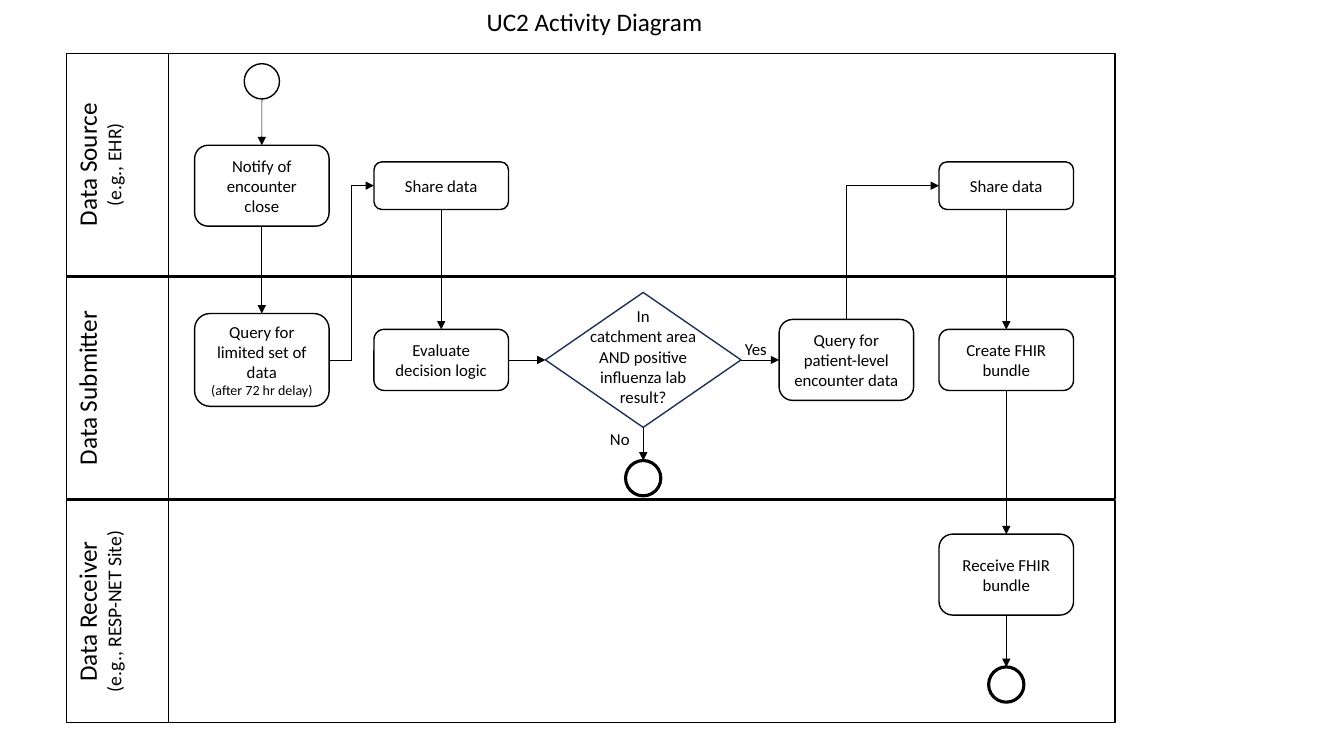
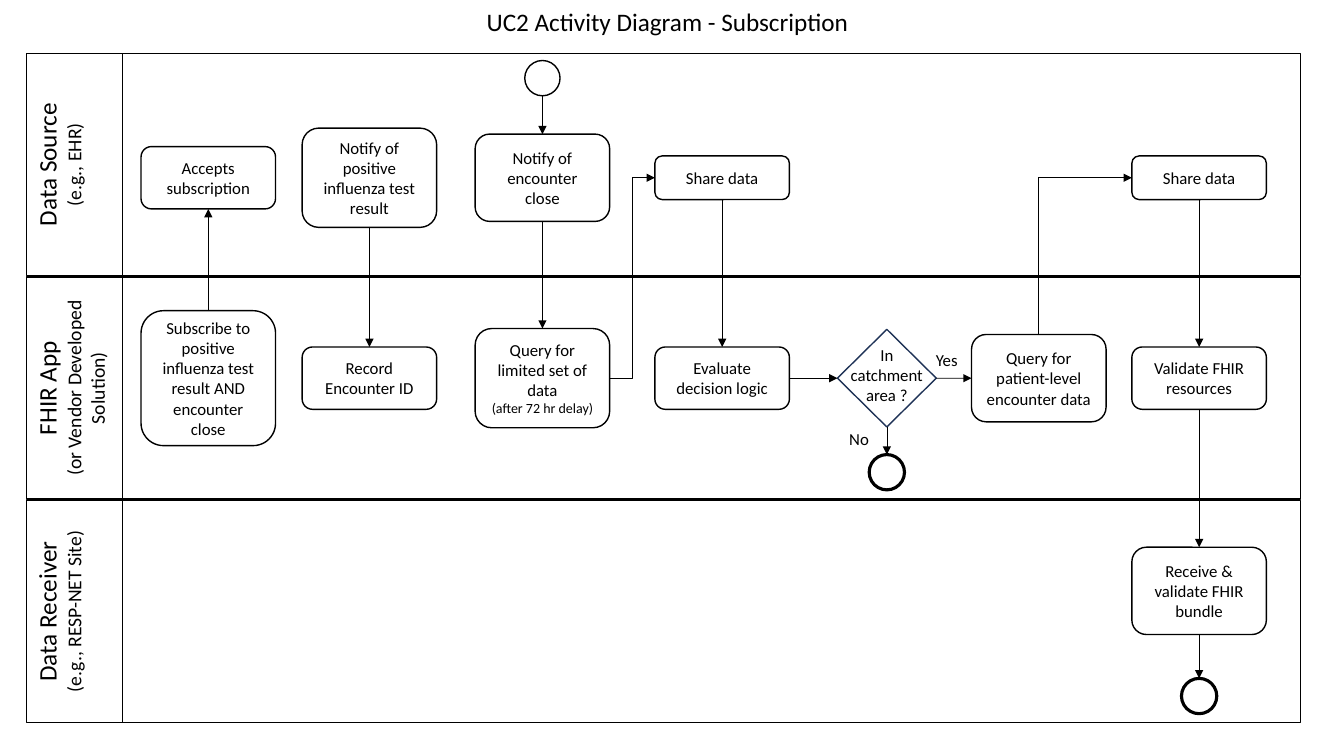
from lxml.etree import SubElement
from pptx import Presentation
from pptx.dml.color import RGBColor
from pptx.enum.shapes import MSO_CONNECTOR as LINE, MSO_SHAPE as SHAPE
from pptx.enum.text import MSO_ANCHOR as ANCHOR, PP_ALIGN as ALIGN
from pptx.oxml.ns import qn
from pptx.util import Cm, Pt

COLORS = {"ink": "000000", "paper": "FFFFFF", "decision": "1E3256"}
FONT = "Calibri"

# All lengths are in centimetres.
LANE_TOP, LANE_HEIGHT, LANE_PITCH = 1.35, 5.6, 5.63
LABEL_WIDTH, LABEL_LENGTH = 1.88, 5
BOX_WIDTH, CIRCLE = 3.39, 0.89
TOP, LEFT, BOTTOM, RIGHT = range(4)  # connection sites

# Source step, its site, target step, its site
SHARED_FLOWS = [
    ("notify", BOTTOM, "query limited", TOP),
    ("query limited", RIGHT, "share limited", LEFT),
    ("share limited", BOTTOM, "evaluate", TOP),
    ("evaluate", RIGHT, "decision", LEFT),
    ("decision", RIGHT, "query patient", LEFT),
    ("decision", BOTTOM, "stop", TOP),
    ("share patient", BOTTOM, "bundle", TOP),
    ("bundle", BOTTOM, "receive", TOP),
    ("receive", BOTTOM, "end", TOP),
]
QUERY_LIMITED = [("Query for limited set of data", 12), ("(after 72 hr delay)", 10)]
QUERY_PATIENT = "Query for patient-level encounter data"
SOURCE_LABEL = [("Data Source", 18), ("(e.g., EHR)", 14)]
RECEIVER_LABEL = [("Data Receiver", 18), ("(e.g., RESP-NET Site)", 14)]

# Boxes: column, row, height, text. Circles: column, centre y, line width.
DIAGRAMS = [
    {
        "title": "UC2 Activity Diagram",
        "lanes": [SOURCE_LABEL, [("Data Submitter", 18)], RECEIVER_LABEL],
        "left": 1.68, "width": 26.42, "divider": 4.24,
        "columns": [6.6, 11.12, 16.21, 21.33, 25.36],
        "rows": [4.68, 9.07, 14.48],
        "boxes": {
            "notify": (0, 0, 2.04, "Notify of encounter close"),
            "query limited": (0, 1, 2.34, QUERY_LIMITED),
            "share limited": (1, 0, 1.2, "Share data"),
            "evaluate": (1, 1, 1.54, "Evaluate decision logic"),
            "query patient": (3, 1, 2.04, QUERY_PATIENT),
            "share patient": (4, 0, 1.2, "Share data"),
            "bundle": (4, 1, 1.54, "Create FHIR bundle"),
            "receive": (4, 2, 2.04, "Receive FHIR bundle"),
        },
        "circles": {"start": (0, 2.05, 1), "stop": (2, 12.05, 2.25),
                    "end": (4, 17.25, 2.25)},
        "decision": (2, 4.93, 3.4),
        "question": (3.71, 2.82, [("In", 12), (
            "catchment area AND positive influenza lab result?", 12)]),
        "answers": [("Yes", 19.05, 8.79), ("No", 15.62, 11.07)],
        "flows": [],
    },
    {
        "title": "UC2 Activity Diagram - Subscription",
        "lanes": [SOURCE_LABEL,
                  [("FHIR App", 18), ("(or Vendor Developed Solution)", 14)],
                  RECEIVER_LABEL],
        "left": 0.67, "width": 32.1, "divider": 3.08,
        "columns": [5.25, 9.31, 13.67, 18.2, 22.35, 26.18, 30.22],
        "rows": [4.48, 9.53, 14.89],
        "boxes": {
            "accept": (0, 0, 1.57, "Accepts subscription"),
            "subscribe": (0, 1, 3.4, "Subscribe to positive influenza test "
                                     "result AND encounter close"),
            "notify result": (1, 0, 2.5, "Notify of positive influenza test result"),
            "record": (1, 1, 1.57, "Record Encounter ID"),
            "notify": (2, 0, 2.2, "Notify of encounter close"),
            "query limited": (2, 1, 2.5, QUERY_LIMITED),
            "share limited": (3, 0, 1.1, "Share data"),
            "evaluate": (3, 1, 1.57, "Evaluate decision logic"),
            "query patient": (5, 1, 2.2, QUERY_PATIENT),
            "share patient": (6, 0, 1.1, "Share data"),
            "bundle": (6, 1, 1.57, "Validate FHIR resources"),
            "receive": (6, 2, 2.2, "Receive & validate FHIR bundle"),
        },
        "circles": {"start": (2, 1.97, 1), "stop": (4, 11.9, 2.25),
                    "end": (6, 17.54, 2.25)},
        "decision": (4, 2.49, 2.46),
        "question": (2.39, 1.8, [("In catchment area ?", 12)]),
        "answers": [("Yes", 23.86, 9.07), ("No", 21.65, 11.05)],
        "flows": [("subscribe", TOP, "accept", BOTTOM),
                  ("notify result", BOTTOM, "record", TOP)],
    },
]


def write(frame, lines, align=ALIGN.CENTER, anchor=ANCHOR.MIDDLE):
    """Fill a text frame with one paragraph per (text, size); plain text is 12 pt."""
    if isinstance(lines, str):
        lines = [(lines, 12)]
    frame.word_wrap = True
    frame.vertical_anchor = anchor
    for index, (text, size) in enumerate(lines):
        paragraph = frame.add_paragraph() if index else frame.paragraphs[0]
        paragraph.alignment = align
        run = paragraph.add_run()
        run.text = text
        run.font.name = FONT
        run.font.size = Pt(size)
        run.font.color.rgb = RGBColor.from_string(COLORS["ink"])


def add_centred(shapes, kind, x, y, width, height, color="ink", weight=1):
    """Add a white outlined shape centred on (x, y), or a text box if kind is None."""
    place = Cm(x - width / 2), Cm(y - height / 2), Cm(width), Cm(height)
    if kind is None:
        return shapes.add_textbox(*place)
    shape = shapes.add_shape(kind, *place)
    shape.shadow.inherit = False
    shape.fill.solid()
    shape.fill.fore_color.rgb = RGBColor.from_string(COLORS["paper"])
    shape.line.color.rgb = RGBColor.from_string(COLORS[color])
    shape.line.width = Pt(weight)
    return shape


prs = Presentation()
prs.slide_width, prs.slide_height = Cm(33.87), Cm(19.05)

for diagram in DIAGRAMS:
    slide = prs.slides.add_slide(prs.slide_layouts[5])
    shapes = slide.shapes
    columns, rows = diagram["columns"], diagram["rows"]

    title = shapes.title
    title.left, title.top, title.width, title.height = Cm(12.01), Cm(0.05), Cm(10.7), Cm(1)
    write(title.text_frame, [(diagram["title"], 18)], ALIGN.LEFT)

    # Swimlanes, from the bottom one up
    left, width = diagram["left"], diagram["width"]
    for index in reversed(range(3)):
        middle = LANE_TOP + index * LANE_PITCH + LANE_HEIGHT / 2
        add_centred(shapes, SHAPE.RECTANGLE, left + width / 2, middle, width, LANE_HEIGHT)
    for index, lines in enumerate(diagram["lanes"]):
        middle = LANE_TOP + index * LANE_PITCH + LANE_HEIGHT / 2
        label_width = LABEL_WIDTH if len(lines[-1][0]) < 25 else 2.49
        label = add_centred(shapes, None, left + label_width / 2, middle,
                            label_width, LABEL_LENGTH)
        write(label.text_frame, lines, anchor=ANCHOR.TOP)
        label.element.txBody.find(qn("a:bodyPr")).set("vert", "vert270")

    divider = shapes.add_connector(
        LINE.STRAIGHT, Cm(diagram["divider"]), Cm(LANE_TOP),
        Cm(diagram["divider"]), Cm(LANE_TOP + 2 * LANE_PITCH + LANE_HEIGHT))
    strokes = [(divider, 1, None)]

    # Steps
    steps = {}
    for key, (column, row, height, text) in diagram["boxes"].items():
        steps[key] = add_centred(shapes, SHAPE.FLOWCHART_ALTERNATE_PROCESS,
                                 columns[column], rows[row], BOX_WIDTH, height)
        write(steps[key].text_frame, text)
    for key, (column, y, weight) in diagram["circles"].items():
        steps[key] = add_centred(shapes, SHAPE.FLOWCHART_CONNECTOR, columns[column], y,
                                 CIRCLE, CIRCLE, weight=weight)
    column, width, height = diagram["decision"]
    steps["decision"] = add_centred(shapes, SHAPE.FLOWCHART_DECISION, columns[column],
                                    rows[1], width, height, "decision")
    width, height, lines = diagram["question"]
    question = add_centred(shapes, None, columns[column], rows[1] - 0.09, width, height)
    write(question.text_frame, lines)
    for text, x, y in diagram["answers"]:
        write(add_centred(shapes, None, x, y, 1.4, 0.77).text_frame, text)

    # Flows
    for source, source_site, target, target_site in SHARED_FLOWS + diagram["flows"]:
        bent = source_site == RIGHT and target == "share limited"
        flow = shapes.add_connector(LINE.ELBOW if bent else LINE.STRAIGHT, 0, 0, 0, 0)
        flow.begin_connect(steps[source], source_site)
        flow.end_connect(steps[target], target_site)
        strokes.append((flow, 0.5, "a:tailEnd"))

    start = steps["start"]
    first = shapes.add_connector(LINE.STRAIGHT, start.left + start.width // 2,
                                 start.top + start.height, 0, 0)
    first.end_connect(steps["notify"], TOP)
    strokes.append((first, 0.5, "a:tailEnd"))

    # One corner only: drawn from the target, so its arrowhead is at the beginning
    corner = shapes.add_connector(LINE.ELBOW, 0, 0, 0, 0)
    corner.begin_connect(steps["share patient"], LEFT)
    corner.end_connect(steps["query patient"], TOP)
    corner.element.spPr.find(qn("a:prstGeom")).set("prst", "bentConnector2")
    strokes.append((corner, 0.5, "a:headEnd"))

    for stroke, weight, arrow in strokes:
        stroke.line.color.rgb = RGBColor.from_string(COLORS["ink"])
        stroke.line.width = Pt(weight)
        properties = stroke.element.spPr
        if arrow:
            SubElement(properties.find(qn("a:ln")), qn(arrow), type="triangle")
        SubElement(properties, qn("a:effectLst"))

prs.save("out.pptx")
